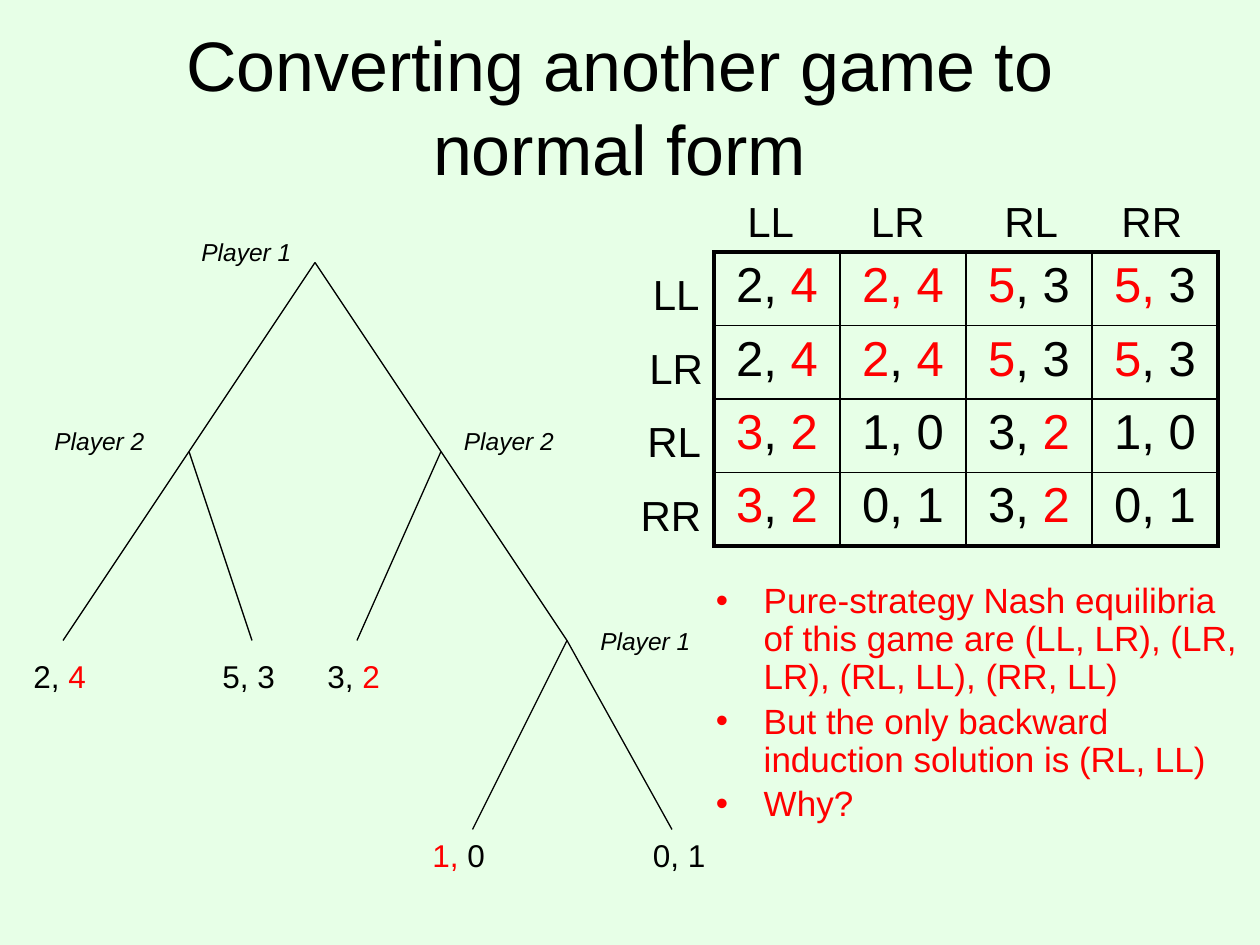
from dataclasses import dataclass
from lxml import etree
from pptx import Presentation
from pptx import util as u
from pptx.dml.color import RGBColor
from pptx.enum import shapes, text
from pptx.oxml import ns

COLUMNS, ROWS = 120, 90
UNIT = u.Inches(10) // COLUMNS


@dataclass(frozen=True)
class Theme:
    background: RGBColor = RGBColor(0xE7, 0xFF, 0xE7)
    ink: RGBColor = RGBColor(0, 0, 0)
    accent: RGBColor = RGBColor(0xFF, 0, 0)
    font: str = "Arial"
    title: int = 40
    cell: int = 28
    strategy: int = 24
    note: int = 20
    payoff: int = 18
    player: int = 14
    tree_line: float = 0.75
    inner_border: float = 1
    outer_border: float = 2.25


THEME = Theme()


@dataclass(frozen=True)
class Box:
    left: float
    top: float
    width: float
    height: float

    def inside(self, column, row, width, height):
        return Box(self.left + column, self.top + row, width, height)

    def point(self, column, row):
        return round((self.left + column) * UNIT), round((self.top + row) * UNIT)

    def lengths(self):
        return [round(value * UNIT) for value in (self.left, self.top, self.width, self.height)]


def apply(target, formats):
    for name, value in formats.items():
        setattr(target, name, value)


def write(paragraph, marked, size, italic=False, **formats):
    """Write text in which each second part between bars takes the accent colour."""
    apply(paragraph, formats)
    for index, part in enumerate(marked.split("|")):
        if part:
            run = paragraph.add_run()
            run.text = part
            apply(run.font, {"name": THEME.font, "size": u.Pt(size), "italic": italic})
            run.font.color.rgb = THEME.accent if index % 2 else THEME.ink


def add_text(slide, box, marked, size, wrap=True, fit=text.MSO_AUTO_SIZE.NONE,
             anchor=text.MSO_ANCHOR.TOP, **formats):
    frame = slide.shapes.add_textbox(*box.lengths()).text_frame
    apply(frame, {"word_wrap": wrap, "auto_size": fit, "vertical_anchor": anchor})
    write(frame.paragraphs[0], marked, size, **formats)


def add_title(slide, box):
    add_text(slide, box, "Converting another game to normal form", THEME.title,
             anchor=text.MSO_ANCHOR.MIDDLE, alignment=text.PP_ALIGN.CENTER)


def add_tree(slide, box):
    root, left, right, last = (28, 3), (16, 21), (40, 21), (52, 39)
    branches = {
        root: [left, right],
        left: [(4, 39), (22, 39)],
        right: [(32, 39), last],
        last: [(43, 57), (62, 57)],
    }
    for start, ends in branches.items():
        for end in ends:
            line = slide.shapes.add_connector(
                shapes.MSO_CONNECTOR.STRAIGHT, *box.point(*start), *box.point(*end))
            line.line.color.rgb = THEME.ink
            line.line.width = u.Pt(THEME.tree_line)
            etree.SubElement(line._element.spPr, ns.qn("a:effectLst"))

    players = [("Player 1", 16, 0), ("Player 2", 2, 18), ("Player 2", 41, 18), ("Player 1", 54, 37)]
    for label, column, row in players:
        add_text(slide, box.inside(column, row, 12, 4), label, THEME.player, italic=True)

    payoffs = [("2, |4", 0, 40), ("5, 3", 18, 40), ("3, |2", 28, 40),
               ("|1, |0", 38, 57), ("0, 1", 59, 57)]
    for label, column, row in payoffs:
        add_text(slide, box.inside(column, row, 12, 4.8), label, THEME.payoff)


def set_borders(cell, widths):
    properties = cell._tc.get_or_add_tcPr()
    for index, (side, width) in enumerate(widths.items()):
        border = etree.Element(ns.qn(f"a:ln{side}"), w=str(u.Pt(width)))
        fill = etree.SubElement(border, ns.qn("a:solidFill"))
        etree.SubElement(fill, ns.qn("a:srgbClr"), val=str(THEME.ink))
        properties.insert(index, border)


def add_payoff_table(slide, box):
    payoffs = [
        ["2, |4", "|2, 4", "|5|, 3", "|5,| 3"],
        ["2, |4", "|2|, |4", "|5|, 3", "|5|, 3"],
        ["|3|, |2", "1, 0", "3, |2", "1, 0"],
        ["|3|, |2", "0, 1", "3, |2", "0, 1"],
    ]
    count = len(payoffs)
    table = slide.shapes.add_table(count, count, *box.lengths()).table
    apply(table, {"first_row": False, "horz_banding": False})
    for row, values in enumerate(payoffs):
        for column, value in enumerate(values):
            cell = table.cell(row, column)
            cell.fill.background()
            write(cell.text_frame.paragraphs[0], value, THEME.cell,
                  alignment=text.PP_ALIGN.CENTER, space_before=u.Pt(THEME.cell * 0.2))
            outer = {"L": column == 0, "R": column == count - 1,
                     "T": row == 0, "B": row == count - 1}
            set_borders(cell, {side: THEME.outer_border if edge else THEME.inner_border
                               for side, edge in outer.items()})


def add_strategies(slide, box):
    strategies = [("LL", 7, 5.4, -3.6), ("LR", 7.8, 17.5, -3.6),
                  ("RL", 7.8, 30.2, -3.8), ("RR", 8.6, 41.7, -4.1)]
    step = box.height / len(strategies)
    height = 6
    for index, (strategy, width, column_centre, row_centre) in enumerate(strategies):
        for centre, row in [(column_centre, -height), (row_centre, 1 + index * step)]:
            add_text(slide, box.inside(centre - width / 2, row, width, height), strategy,
                     THEME.strategy, wrap=False, fit=text.MSO_AUTO_SIZE.SHAPE_TO_FIT_TEXT,
                     alignment=text.PP_ALIGN.CENTER)


def add_notes(slide, box):
    notes = [
        "Pure-strategy Nash equilibria of this game are (LL, LR), (LR, LR), (RL, LL), (RR, LL)",
        "But the only backward induction solution is (RL, LL)",
        "Why?",
    ]
    frame = slide.shapes.add_textbox(*box.lengths()).text_frame
    frame.word_wrap = True
    indent = u.Inches(0.38)
    for index, note in enumerate(notes):
        paragraph = frame.add_paragraph() if index else frame.paragraphs[0]
        write(paragraph, f"|{note}", THEME.note, line_spacing=0.9,
              space_before=u.Pt(THEME.note * 0.2))
        properties = paragraph._p.get_or_add_pPr()
        properties.set("marL", str(indent))
        properties.set("indent", str(-indent))
        colour = etree.SubElement(properties, ns.qn("a:buClr"))
        etree.SubElement(colour, ns.qn("a:srgbClr"), val=str(THEME.accent))
        etree.SubElement(properties, ns.qn("a:buFont"), typeface=THEME.font)
        etree.SubElement(properties, ns.qn("a:buChar"), char="•")


def main():
    presentation = Presentation()
    apply(presentation, {"slide_width": COLUMNS * UNIT, "slide_height": ROWS * UNIT})
    slide = presentation.slides.add_slide(presentation.slide_layouts[6])
    slide.background.fill.solid()
    slide.background.fill.fore_color.rgb = THEME.background

    matrix = Box(68, 24, 48, 28)
    add_title(slide, Box(12, 5, 94, 10))
    add_tree(slide, Box(2, 22, 66, 62))
    add_payoff_table(slide, matrix)
    add_strategies(slide, matrix)
    add_notes(slide, Box(67, 55, 53, 28))
    presentation.save("out.pptx")


if __name__ == "__main__":
    main()
